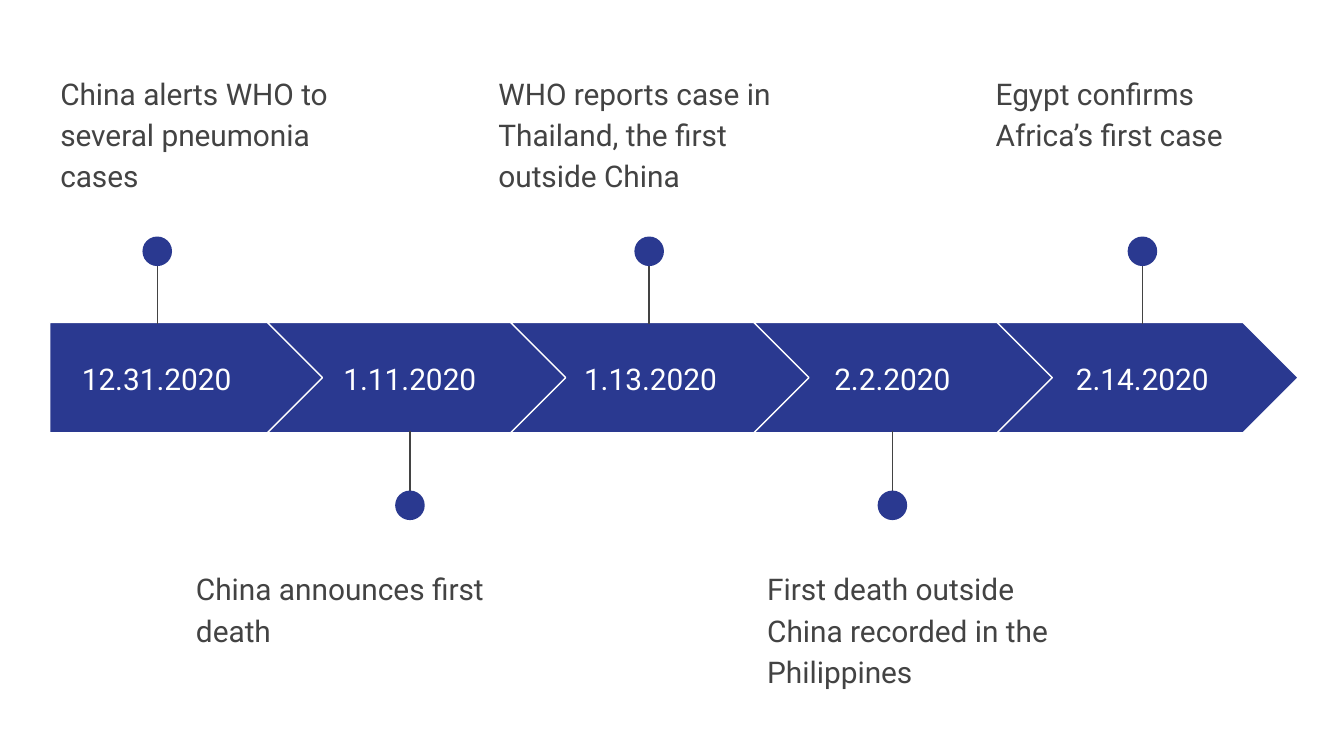
import pptx
import pptx.dml.color
import pptx.enum.shapes
import pptx.enum.text
import pptx.oxml
import pptx.util
from pptx.util import Inches

SHAPES = pptx.enum.shapes.MSO_SHAPE
ANCHOR = pptx.enum.text.MSO_ANCHOR
ALIGN = pptx.enum.text.PP_ALIGN

BLUE, GRAY, WHITE = "2A3990", "434343", "FFFFFF"
BAND_TOP, BAND_HEIGHT = 2.4, 0.82
FIRST_CHEVRON, CHEVRON_STEP = 1.99, 1.81
DOT_SIZE = 0.22

DATE_FORMAT = {"alignment": ALIGN.CENTER}
NOTE_FORMAT = {"line_spacing": 1.15, "space_after": pptx.util.Pt(16)}

# date, date left, date width, pin x, note left, note
EVENTS = [
    ("12.31.2020", 0.37, 1.59, 1.17, 0.35,
     "China alerts WHO to several pneumonia cases"),
    ("1.11.2020", 2.33, 1.44, 3.05, 1.36,
     "China announces first death"),
    ("1.13.2020", 4.12, 1.44, 4.83, 3.61,
     "WHO reports case in Thailand, the first outside China"),
    ("2.2.2020", 5.92, 1.44, 6.64, 5.61,
     "First death outside China recorded in the Philippines"),
    ("2.14.2020", 7.78, 1.44, 8.5, 7.31,
     "Egypt confirms Africa’s first case"),
]


def color(value):
    return pptx.dml.color.RGBColor.from_string(value)


def add_filled_shape(slide, kind, left, top, width, height, outline=None):
    shape = slide.shapes.add_shape(
        kind, Inches(left), Inches(top), Inches(width), Inches(height))
    shape.shadow.inherit = False
    shape.fill.solid()
    shape.fill.fore_color.rgb = color(BLUE)
    if outline:
        shape.line.color.rgb = color(outline)
        shape.line.width = pptx.util.Pt(0.75)
    else:
        shape.line.fill.background()
    return shape


def add_text(slide, text, left, top, width, height, ink, anchor, paragraph_format):
    box = slide.shapes.add_textbox(
        Inches(left), Inches(top), Inches(width), Inches(height))
    frame_format = {"word_wrap": True, "vertical_anchor": anchor}
    for side in ("left", "top", "right", "bottom"):
        frame_format["margin_" + side] = Inches(0.1)
    for name, value in frame_format.items():
        setattr(box.text_frame, name, value)
    para = box.text_frame.paragraphs[0]
    for name, value in paragraph_format.items():
        setattr(para, name, value)
    span = para.add_run()
    span.text = text
    font_format = {"name": "Roboto", "size": pptx.util.Pt(16)}
    for name, value in font_format.items():
        setattr(span.font, name, value)
    span.font.color.rgb = color(ink)


def add_pin(slide, x, above):
    start, end, dot_top = (1.8, 2.41, 1.76) if above else (3.82, 3.21, 3.65)
    stem = slide.shapes.add_connector(
        pptx.enum.shapes.MSO_CONNECTOR.STRAIGHT,
        Inches(x), Inches(start), Inches(x), Inches(end))
    stem.line.color.rgb = color(GRAY)
    stem.line.width = pptx.util.Pt(0.75)
    properties = stem._element.spPr
    properties.append(pptx.oxml.parse_xml(
        '<a:effectLst xmlns:a="http://schemas.openxmlformats.org/drawingml/2006/main"/>'))
    add_filled_shape(slide, SHAPES.OVAL, x - DOT_SIZE / 2, dot_top, DOT_SIZE, DOT_SIZE)


def add_band_step(slide, index):
    if index == 0:
        kind, left, width = SHAPES.PENTAGON, 0.37, 2.05
    else:
        kind, width = SHAPES.CHEVRON, 2.24
        left = FIRST_CHEVRON + (index - 1) * CHEVRON_STEP
    step = add_filled_shape(slide, kind, left, BAND_TOP, width, BAND_HEIGHT, WHITE)
    step.adjustments[0] = 0.5


def main():
    # Widescreen page, 16:9
    deck = pptx.Presentation()
    deck.slide_width = Inches(10)
    deck.slide_height = Inches(10 * 9 / 16)
    slide = deck.slides.add_slide(deck.slide_layouts.get_by_name("Blank"))

    # Events alternate above and below the band
    for index, (date, date_left, date_width, pin_x, note_left, note) in enumerate(EVENTS):
        above = index % 2 == 0
        add_band_step(slide, index)
        add_text(slide, date, date_left, 2.56, date_width, 0.51,
                 WHITE, ANCHOR.MIDDLE, DATE_FORMAT)
        add_pin(slide, pin_x, above)
        add_text(slide, note, note_left, 0.42 if above else 4.11, 2.45, 0.99,
                 GRAY, ANCHOR.TOP, NOTE_FORMAT)

    deck.save("out.pptx")


if __name__ == "__main__":
    main()
